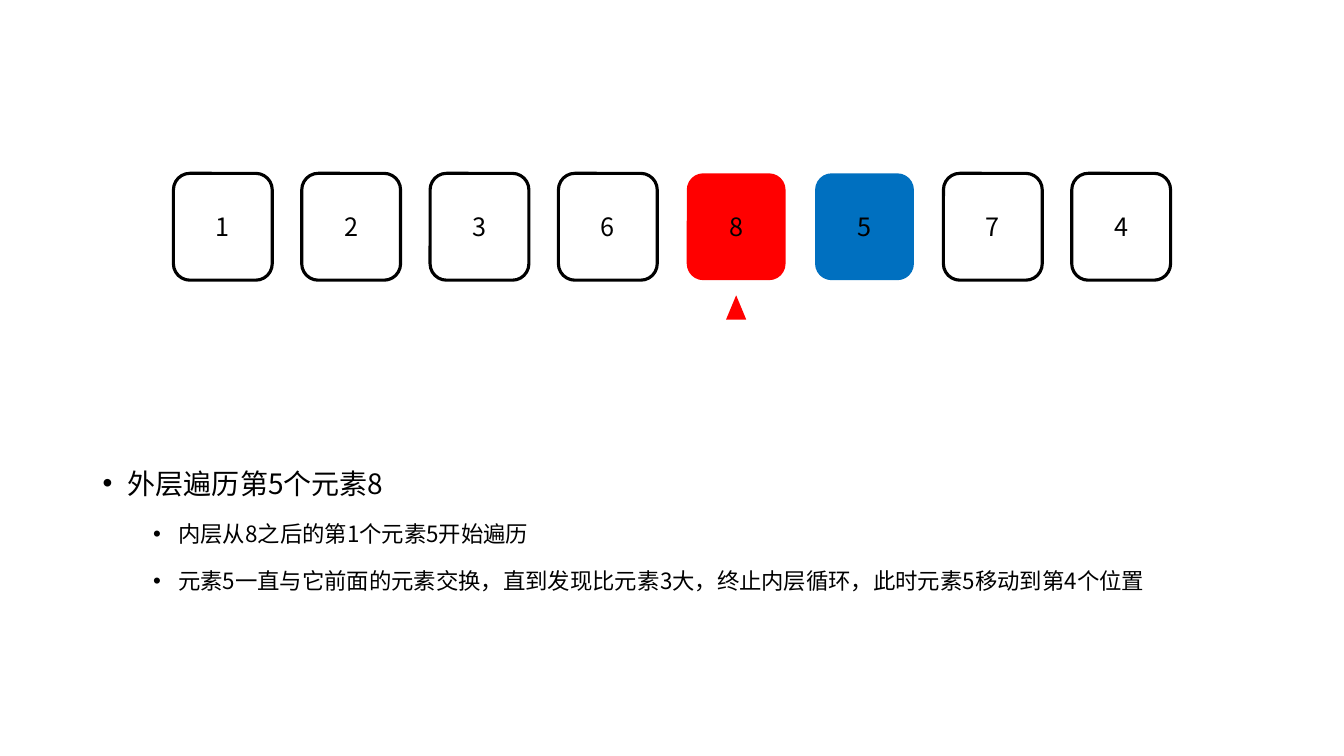
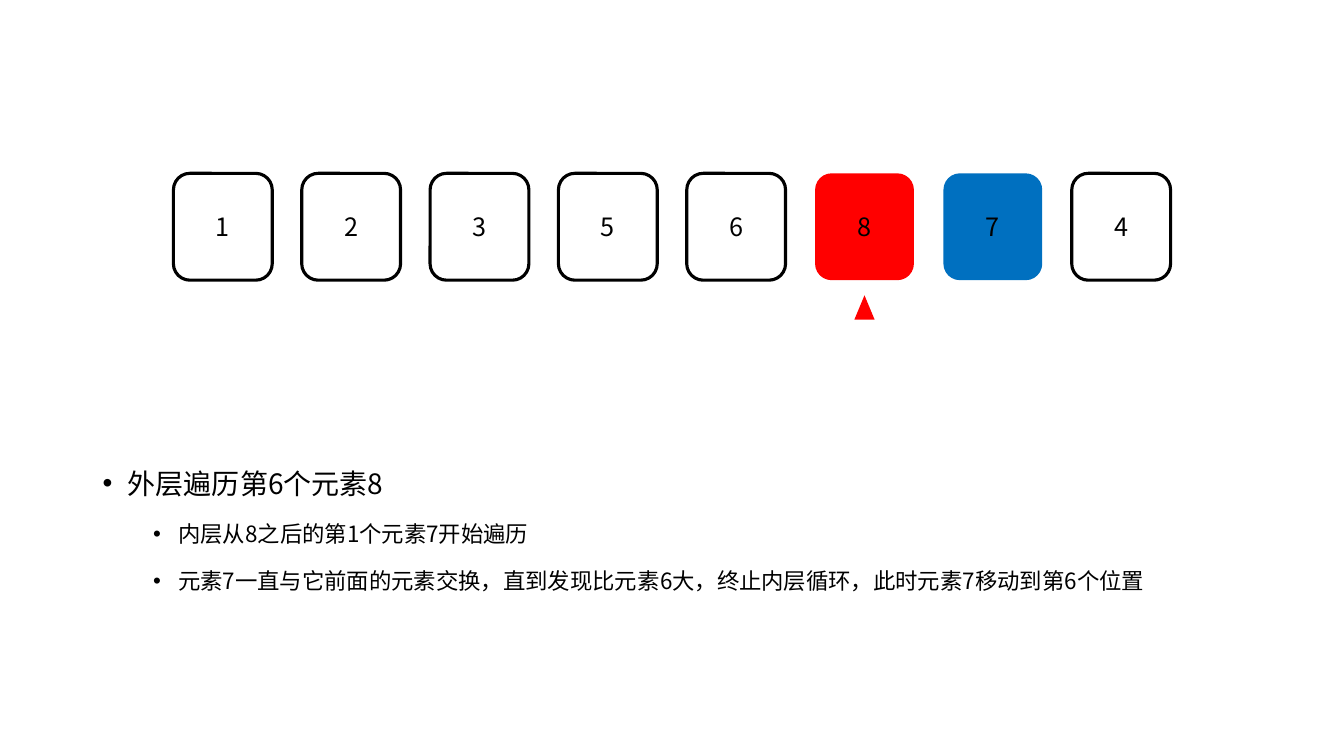
import pptx
import pptx.dml.color
import pptx.enum.shapes
import pptx.enum.text
import pptx.oxml.ns
import pptx.util
from lxml import etree

PX = 9144  # EMU per px, 100 px to the inch
FONT = "Noto Sans CJK SC"
BLACK, RED, BLUE = "000000", "FF0000", "0070C0"

# outer and inner are positions in values
STEPS = [
    {
        "values": [1, 2, 3, 6, 8, 5, 7, 4],
        "outer": 4,
        "inner": 5,
        "notes": [
            (0, "外层遍历第5个元素8"),
            (1, "内层从8之后的第1个元素5开始遍历"),
            (1, "元素5一直与它前面的元素交换，直到发现比元素3大，终止内层循环，此时元素5移动到第4个位置"),
        ],
    },
    {
        "values": [1, 2, 3, 5, 6, 8, 7, 4],
        "outer": 5,
        "inner": 6,
        "notes": [
            (0, "外层遍历第6个元素8"),
            (1, "内层从8之后的第1个元素7开始遍历"),
            (1, "元素7一直与它前面的元素交换，直到发现比元素6大，终止内层循环，此时元素7移动到第6个位置"),
        ],
    },
]

SLIDE_WIDTH, SLIDE_HEIGHT = 1333, 750
FIRST_LEFT, LAST_LEFT = 172, 1063
CELL_TOP, CELL_WIDTH, CELL_HEIGHT = 172, 98, 106
POINTER_TOP, POINTER_WIDTH, POINTER_HEIGHT = 293, 20, 24
NOTES_BOX = (92, 441, 1150, 265)
# level: (font size, left margin px, space before)
NOTE_LEVELS = {0: (20, 25, 10), 1: (16, 75, 5)}
BULLET_INDENT = 25


def px(length):
    return pptx.util.Emu(round(length * PX))


def rgb(color):
    return pptx.dml.color.RGBColor.from_string(color)


def format_runs(paragraph, size):
    for run in paragraph.runs:
        run.font.name = FONT
        run.font.size = pptx.util.Pt(size)
        run.font.color.rgb = rgb(BLACK)
        east_asian = etree.SubElement(run.font._element, pptx.oxml.ns.qn("a:ea"))
        east_asian.set("typeface", FONT)


def add_shape(slide, kind, box, fill=None):
    """Add a filled shape without outline, or an outlined one without fill."""
    shape = slide.shapes.add_shape(kind, *map(px, box))
    shape.shadow.inherit = False
    if fill:
        shape.fill.solid()
        shape.fill.fore_color.rgb = rgb(fill)
        shape.line.fill.background()
    else:
        shape.fill.background()
        shape.line.color.rgb = rgb(BLACK)
        shape.line.width = pptx.util.Pt(2.25)
    return shape


def add_array(slide, values, outer, inner):
    shapes = pptx.enum.shapes.MSO_SHAPE
    pitch = (LAST_LEFT - FIRST_LEFT) / (len(values) - 1)
    fills = {outer: RED, inner: BLUE}
    for index, value in enumerate(values):
        box = (FIRST_LEFT + index * pitch, CELL_TOP, CELL_WIDTH, CELL_HEIGHT)
        cell = add_shape(slide, shapes.ROUNDED_RECTANGLE, box, fills.get(index))
        cell.text_frame.text = str(value)
        cell.text_frame.vertical_anchor = pptx.enum.text.MSO_ANCHOR.MIDDLE
        paragraph = cell.text_frame.paragraphs[0]
        paragraph.alignment = pptx.enum.text.PP_ALIGN.CENTER
        format_runs(paragraph, 18)
    pointer_left = FIRST_LEFT + outer * pitch + (CELL_WIDTH - POINTER_WIDTH) / 2
    pointer_box = (pointer_left, POINTER_TOP, POINTER_WIDTH, POINTER_HEIGHT)
    add_shape(slide, shapes.ISOSCELES_TRIANGLE, pointer_box, RED)


def add_bullet(paragraph, margin):
    properties = paragraph._p.get_or_add_pPr()
    properties.set("marL", str(px(margin)))
    properties.set("indent", str(px(-BULLET_INDENT)))
    for tag, name, value in (("a:buFont", "typeface", "Arial"), ("a:buChar", "char", "•")):
        etree.SubElement(properties, pptx.oxml.ns.qn(tag)).set(name, value)


def add_notes_box(slide, notes):
    frame = slide.shapes.add_textbox(*map(px, NOTES_BOX)).text_frame
    frame.word_wrap = True
    for index, (level, text) in enumerate(notes):
        paragraph = frame.add_paragraph() if index else frame.paragraphs[0]
        size, margin, space_before = NOTE_LEVELS[level]
        paragraph.text = text
        paragraph.level = level
        add_bullet(paragraph, margin)
        paragraph.line_spacing = 1.5
        if index:
            paragraph.space_before = pptx.util.Pt(space_before)
        format_runs(paragraph, size)


def main():
    presentation = pptx.Presentation()
    presentation.slide_width = px(SLIDE_WIDTH)
    presentation.slide_height = px(SLIDE_HEIGHT)
    blank_layout = presentation.slide_layouts.get_by_name("Blank")
    for step in STEPS:
        slide = presentation.slides.add_slide(blank_layout)
        add_array(slide, step["values"], step["outer"], step["inner"])
        add_notes_box(slide, step["notes"])
    presentation.save("out.pptx")


if __name__ == "__main__":
    main()
